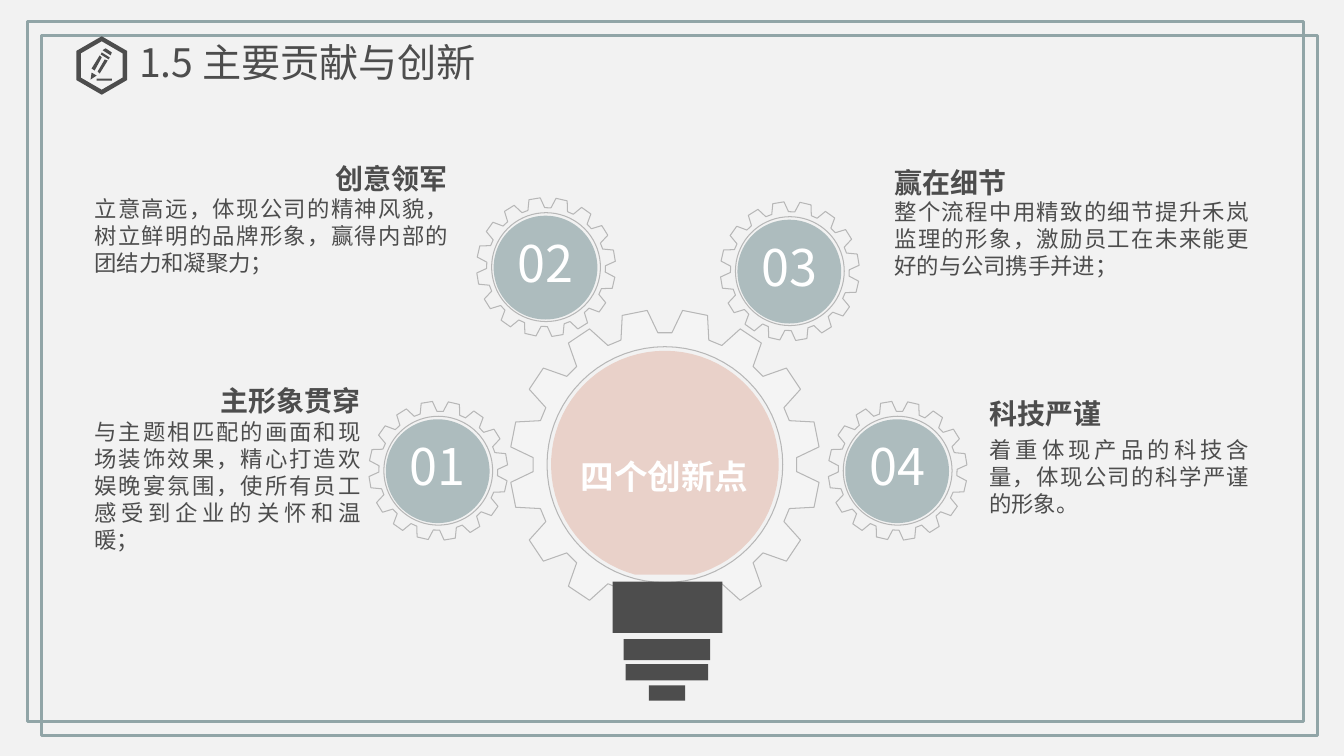
"""Build the slide on main contributions and innovations with a gear light bulb."""
import math
from dataclasses import dataclass

import pptx
import pptx.dml.color
import pptx.enum.shapes
import pptx.enum.text
import pptx.oxml
import pptx.oxml.ns
import pptx.util
from pptx.util import Inches

FONT = "Noto Sans CJK SC"
COLORS = {
    "background": "F2F2F2", "frame": "91A5A7", "dark": "4D4D4D", "white": "FFFFFF",
    "gear": "F2F2F2", "bulb_gear": "F4F4F4", "gear_edge": "B7B7B7",
    "disc": "ADBCBE", "glass": "E9D1C9",
}
ALIGN = pptx.enum.text.PP_ALIGN
SHAPE = pptx.enum.shapes.MSO_SHAPE
Point = tuple[float, float]
Box = tuple[float, float, float, float]


@dataclass
class Style:
    size: float
    color: str = "dark"
    bold: bool = False
    spacing: float = 1.2
    margin: float = 0.1


@dataclass
class Gear:
    center: Point
    tip: float
    root: float
    hole: float
    phase: float
    fill: str


@dataclass
class Innovation:
    number: str
    heading: str
    heading_box: Box
    heading_align: ALIGN
    detail: str
    detail_box: Box
    gear_center: Point


HEADING = Style(20, bold=True)
DETAIL = Style(16)
NUMBER = Style(36, "white")
CORE = Style(24, "white", True, 1.8)
TITLE = Style(28, margin=0)

INNOVATIONS = [
    Innovation("01", "主形象贯穿", (1.71, 3.76, 1.97, 0.44), ALIGN.RIGHT,
               "与主题相匹配的画面和现场装饰效果，精心打造欢娱晚宴氛围，使所有员工感受到企业的关怀和温暖；",
               (0.84, 4.1, 2.84, 1.18), (4.35, 4.67)),
    Innovation("02", "创意领军", (3.07, 1.55, 1.47, 0.44), ALIGN.RIGHT,
               "立意高远，体现公司的精神风貌，树立鲜明的品牌形象，赢得内部的团结力和凝聚力；",
               (0.84, 1.89, 3.71, 0.91), (5.42, 2.65)),
    Innovation("03", "赢在细节", (8.78, 1.59, 1.47, 0.44), ALIGN.LEFT,
               "整个流程中用精致的细节提升禾岚监理的形象，激励员工在未来能更好的与公司携手并进；",
               (8.78, 1.92, 3.72, 0.91), (7.84, 2.69)),
    Innovation("04", "科技严谨", (9.72, 3.88, 1.55, 0.44), ALIGN.LEFT,
               "着重体现产品的科技含量，体现公司的科学严谨的形象。",
               (9.72, 4.28, 2.78, 0.91), (8.91, 4.67)),
]
BULB_CENTER = (6.6, 4.61)
BULB_BASE = [(6.08, 5.77, 1.09, 0.51), (6.19, 6.34, 0.86, 0.21),
             (6.21, 6.59, 0.82, 0.16), (6.44, 6.8, 0.36, 0.15)]
BADGE_CENTER = (1.01, 0.65)
PENCIL = [
    [(0.96, 0.78), (1.11, 0.78), (1.11, 0.8), (0.96, 0.8)],
    [(0.97, 0.71), (1.04, 0.59), (1.07, 0.6), (0.99, 0.73)],
    [(0.91, 0.68), (0.99, 0.55), (1.01, 0.57), (0.94, 0.7)],
    [(0.9, 0.79), (0.91, 0.72), (0.96, 0.75)],
    [(1.01, 0.52), (1, 0.54), (1.08, 0.59), (1.09, 0.57)],
    [(1.03, 0.49), (1.05, 0.48), (1.11, 0.52), (1.1, 0.55), (1.02, 0.5)],
]


def rgb(name: str) -> pptx.dml.color.RGBColor:
    """Return the named colour."""
    return pptx.dml.color.RGBColor.from_string(COLORS[name])


def polar(center: Point, radius: float, degrees: float) -> Point:
    """Return the point at a clockwise angle from the top."""
    angle = math.radians(degrees)
    return center[0] + radius * math.sin(angle), center[1] - radius * math.cos(angle)


def arc(center: Point, radius: float, start: float, end: float, steps: int) -> list[Point]:
    """Return evenly spaced points along an arc."""
    return [polar(center, radius, start + (end - start) * i / steps) for i in range(steps + 1)]


def paint(shape, fill: str = "", edge: str = "", width: float = 0.75) -> None:
    """Set fill and outline and drop the shadow."""
    shape.shadow.inherit = False
    if fill:
        shape.fill.solid()
        shape.fill.fore_color.rgb = rgb(fill)
    else:
        shape.fill.background()
    if edge:
        shape.line.color.rgb = rgb(edge)
        shape.line.width = pptx.util.Pt(width)
    else:
        shape.line.fill.background()


def draw_preset(slide, kind: SHAPE, box: Box, fill: str = "", edge: str = "",
                width: float = 0.75) -> None:
    """Draw a painted preset shape."""
    paint(slide.shapes.add_shape(kind, *map(Inches, box)), fill, edge, width)


def draw_outline(slide, contours: list[list[Point]], fill: str, edge: str = "") -> None:
    """Draw closed contours as one freeform."""
    first, *others = [[(Inches(x), Inches(y)) for x, y in contour] for contour in contours]
    builder = slide.shapes.build_freeform(*first[0])
    builder.add_line_segments(first[1:])
    for contour in others:
        builder.move_to(*contour[0])
        builder.add_line_segments(contour[1:])
    paint(builder.convert_to_shape(), fill, edge)


def draw_gear(slide, gear: Gear) -> None:
    """Draw a ring with sixteen teeth."""
    corners = [(gear.root, -8.2), (gear.tip, -4.7), (gear.tip, 4.7), (gear.root, 8.2)]
    teeth = [polar(gear.center, radius, gear.phase + 22.5 * tooth + offset)
             for tooth in range(16) for radius, offset in corners]
    hole = arc(gear.center, gear.hole, 360, 0, 72)
    draw_outline(slide, [hole, teeth], gear.fill, "gear_edge")


def write(holder, text: str, style: Style, align: ALIGN) -> None:
    """Write one formatted paragraph."""
    frame = holder.text_frame
    frame.text = text
    paragraph = frame.paragraphs[0]
    run = paragraph.runs[0]
    formats = {
        frame: {"word_wrap": True, "auto_size": pptx.enum.text.MSO_AUTO_SIZE.NONE,
                "vertical_anchor": pptx.enum.text.MSO_ANCHOR.TOP,
                "margin_left": Inches(style.margin), "margin_right": Inches(style.margin),
                "margin_top": Inches(style.margin / 2), "margin_bottom": 0},
        paragraph: {"alignment": align, "space_before": 0,
                    "line_spacing": pptx.util.Pt(style.size * style.spacing)},
        run.font: {"size": pptx.util.Pt(style.size), "bold": style.bold, "name": FONT},
    }
    for target, values in formats.items():
        for attribute, value in values.items():
            setattr(target, attribute, value)
    run.font.color.rgb = rgb(style.color)
    paragraph._p.get_or_add_pPr().set("hangingPunct", "0")
    run._r.get_or_add_rPr().append(pptx.oxml.parse_xml(
        f'<a:ea {pptx.oxml.ns.nsdecls("a")} typeface="{FONT}"/>'))


def add_text(slide, text: str, box: Box, style: Style, align: ALIGN) -> None:
    """Add a text box."""
    write(slide.shapes.add_textbox(*map(Inches, box)), text, style, align)


def draw_innovation(slide, point: Innovation) -> None:
    """Draw a numbered gear with its heading and detail."""
    x, y = point.gear_center
    add_text(slide, point.heading, point.heading_box, HEADING, point.heading_align)
    add_text(slide, point.detail, point.detail_box, DETAIL, ALIGN.JUSTIFY)
    draw_gear(slide, Gear(point.gear_center, 0.69, 0.59, 0.54, 13, "gear"))
    draw_preset(slide, SHAPE.OVAL, (x - 0.52, y - 0.51, 1.03, 1.03), "disc")
    add_text(slide, point.number, (x - 0.41, y - 0.4, 0.81, 0.71), NUMBER, ALIGN.CENTER)


def main() -> None:
    """Build and save the slide."""
    deck = pptx.Presentation()
    deck.slide_width, deck.slide_height = Inches(13.34), Inches(7.5)
    slide = deck.slides.add_slide(deck.slide_layouts[5])
    slide.background.fill.solid()
    slide.background.fill.fore_color.rgb = rgb("background")
    for left, top in [(0.27, 0.21), (0.41, 0.35)]:
        draw_preset(slide, SHAPE.RECTANGLE, (left, top, 12.67, 6.95), edge="frame", width=2)

    title = slide.shapes.title
    title.left, title.top, title.width, title.height = map(Inches, (1.38, 0.38, 3.99, 0.47))
    write(title, "1.5 主要贡献与创新", TITLE, ALIGN.LEFT)
    badge = [arc(BADGE_CENTER, 0.29, 0, 360, 6), arc(BADGE_CENTER, 0.24, 360, 0, 6)]
    draw_outline(slide, badge + PENCIL, "dark")

    draw_gear(slide, Gear(BULB_CENTER, 1.54, 1.31, 1.17, 11.25, "bulb_gear"))
    for ring in BULB_BASE:
        draw_preset(slide, SHAPE.RECTANGLE, ring, "dark")
    draw_outline(slide, [arc(BULB_CENTER, 1.13, 195, 525, 72)], "glass")
    add_text(slide, "四个创新点", (5.65, 4.27, 1.89, 0.62), CORE, ALIGN.CENTER)
    for point in INNOVATIONS:
        draw_innovation(slide, point)
    deck.save("out.pptx")


if __name__ == "__main__":
    main()
